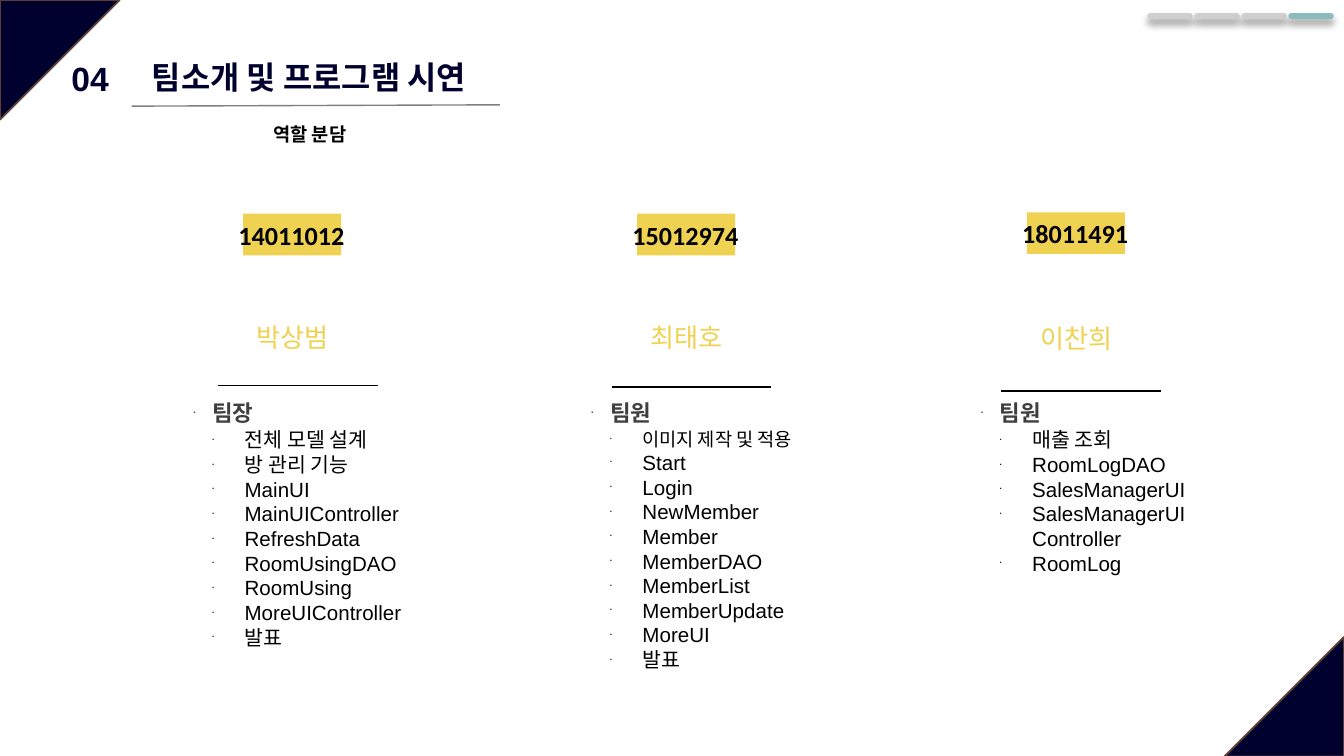
import pptx
import pptx.util
import pptx.dml.color
import pptx.enum.shapes
import pptx.enum.text
import pptx.oxml
import pptx.oxml.ns
from lxml import etree

Inches = pptx.util.Inches
Pt = pptx.util.Pt
ALIGN = pptx.enum.text.PP_ALIGN
TRIANGLE = pptx.enum.shapes.MSO_SHAPE.ISOSCELES_TRIANGLE
RECTANGLE = pptx.enum.shapes.MSO_SHAPE.RECTANGLE

NAVY, YELLOW, TEAL, SILVER = "00002F", "F0D252", "8DBABD", "D0CECE"
BLACK, CHARCOAL, GRAY, BROWN = "000000", "3F3F3F", "7F7F7F", "5B3F33"


def color(hex_value):
    return pptx.dml.color.RGBColor.from_string(hex_value)


def child(parent, tag, **attributes):
    return etree.SubElement(parent, pptx.oxml.ns.qn(tag), attributes)


class RoleSlide:
    def __init__(self, presentation):
        self.slide = presentation.slides.add_slide(presentation.slide_layouts[4])
        self.shapes = self.slide.shapes

    def shape(self, kind, left, top, width, height, fill, outline=None, rotation=0):
        shape = self.shapes.add_shape(
            kind, Inches(left), Inches(top), Inches(width), Inches(height))
        shape.shadow.inherit = False
        shape.rotation = rotation
        shape.fill.solid()
        shape.fill.fore_color.rgb = color(fill)
        if outline:
            shape.line.color.rgb = color(outline)
            shape.line.width = Pt(1)
        else:
            shape.line.fill.background()
        return shape

    def corner(self, left, top, rotation):
        triangle = self.shape(TRIANGLE, left, top, 0.89, 0.89, NAVY, BROWN, rotation)
        triangle.adjustments[0] = 0

    def line(self, x1, y1, x2, y2, stroke, width=0.75, raised=False):
        line = self.shapes.add_connector(
            pptx.enum.shapes.MSO_CONNECTOR.STRAIGHT,
            Inches(x1), Inches(y1), Inches(x2), Inches(y2))
        line.line.color.rgb = color(stroke)
        line.line.width = Pt(width)
        properties = line._element.spPr
        effects = child(properties, "a:effectLst")
        if raised:
            properties.find(pptx.oxml.ns.qn("a:ln")).set("cap", "rnd")
            outer = child(effects, "a:outerShdw", blurRad=str(Pt(4)), dist=str(Pt(3)),
                          dir="5400000", algn="t", rotWithShape="0")
            black = child(outer, "a:srgbClr", val=BLACK)
            child(black, "a:alpha", val="40000")

    def bullet(self, paragraph, char, indent, fill):
        properties = paragraph._p.get_or_add_pPr()
        properties.set("marL", str(Inches(indent)))
        properties.set("indent", str(-Inches(indent)))
        child(child(properties, "a:buClr"), "a:srgbClr", val=fill)
        child(properties, "a:buSzPct", val="25000")
        child(properties, "a:buFont", typeface="Arial")
        child(properties, "a:buChar", char=char)

    def text(self, box, lines, size, fill, font="Arial", bold=False,
             align=ALIGN.CENTER, bullet=None, indent=0):
        frame = box.text_frame
        frame.word_wrap = True
        frame.auto_size = pptx.enum.text.MSO_AUTO_SIZE.NONE
        frame.vertical_anchor = pptx.enum.text.MSO_ANCHOR.TOP
        frame.margin_left = frame.margin_right = Inches(0.07)
        frame.margin_top = frame.margin_bottom = Inches(0.04)
        frame.text = "\n".join(lines)
        for paragraph in frame.paragraphs:
            if bullet:
                self.bullet(paragraph, bullet, indent, fill)
            paragraph.alignment = align
            paragraph.line_spacing = 1.0
            paragraph.space_before = paragraph.space_after = Pt(0)
            paragraph.font.name = font
            paragraph.font.size = Pt(size)
            paragraph.font.bold = bold
            paragraph.font.color.rgb = color(fill)
        return frame

    def label(self, left, top, width, height, words, size, fill, **style):
        box = self.shapes.add_textbox(
            Inches(left), Inches(top), Inches(width), Inches(height))
        self.text(box, [words], size, fill, **style)

    def placeholder(self, index, left, top, width, height, lines, size, fill, **style):
        holder = next(p for p in self.slide.placeholders
                      if p.placeholder_format.idx == index)
        holder.left, holder.top = Inches(left), Inches(top)
        holder.width, holder.height = Inches(width), Inches(height)
        return self.text(holder, lines, size, fill, **style)

    def member(self, index, member):
        left, role_left = member["left"], member["role_left"]
        top, rule_top = member["top"], member["rule_top"]
        self.shape(RECTANGLE, left + 0.16, top, 0.73, 0.31, YELLOW)
        self.label(left, top, 1.04, 0.3, member["number"], 14, BLACK,
                   font="Calibri", bold=True)
        self.label(left + 0.01, member["name_top"], 1.04, 0.3, member["name"], 14,
                   YELLOW, font="Calibri")
        self.line(left - 0.03, rule_top, left + 1.16, rule_top, BLACK)
        self.label(role_left, 2.93, 1.58, 0.28, member["role"], 12, CHARCOAL,
                   font="Calibri", bold=True, align=ALIGN.LEFT, bullet="▪", indent=0.14)
        return self.placeholder(index, role_left + 0.14, 3.14, member["width"],
                                member["height"], member["tasks"], 11, BLACK,
                                align=ALIGN.LEFT, bullet="•", indent=0.24)


MEMBERS = [
    dict(number="14011012", name="박상범", role="팀장", left=1.65, role_left=1.37,
         top=1.59, name_top=2.35, rule_top=2.87, width=1.58, height=0.61,
         tasks=["전체 모델 설계", "방 관리 기능", "MainUI", "MainUIController",
                "RefreshData", "RoomUsingDAO", "RoomUsing", "MoreUIController", "발표"]),
    dict(number="15012974", name="최태호", role="팀원", left=4.58, role_left=4.33,
         top=1.59, name_top=2.35, rule_top=2.88, width=1.71, height=0.78,
         tasks=["이미지 제작 및 적용", "Start", "Login", "NewMember", "Member",
                "MemberDAO", "MemberList", "MemberUpdate", "MoreUI", "발표"]),
    dict(number="18011491", name="이찬희", role="팀원", left=7.48, role_left=7.23,
         top=1.58, name_top=2.36, rule_top=2.91, width=1.58, height=0.78,
         tasks=["매출 조회", "RoomLogDAO", "SalesManagerUI",
                "SalesManagerUIController", "RoomLog"]),
]


def main():
    presentation = pptx.Presentation()
    presentation.slide_width = Inches(10)
    presentation.slide_height = Inches(10 * 9 / 16)
    roles = RoleSlide(presentation)

    roles.corner(0, 0, 90)
    roles.corner(9.11, 4.74, 270)
    roles.line(0.98, 0.79, 3.72, 0.78, GRAY)
    roles.placeholder(0, 0.83, 0.39, 2.94, 0.31, ["팀소개 및 프로그램 시연"], 17, NAVY,
                      bold=True)
    roles.label(0.42, 0.39, 0.5, 0.38, "04", 18, NAVY, bold=True)
    roles.placeholder(1, 1.62, 0.87, 1.37, 0.3, ["역할 분담"], 10, BLACK, bold=True)

    task_lists = [roles.member(index, member)
                  for index, member in enumerate(MEMBERS, start=2)]
    task_lists[1].paragraphs[0].font.size = Pt(10)

    for step, stroke in enumerate([SILVER, SILVER, SILVER, TEAL]):
        start = 8.56 + 0.35 * step
        roles.line(start, 0.12, start + 0.29, 0.12, stroke, 3.5, raised=True)

    presentation.save("out.pptx")


if __name__ == "__main__":
    main()
